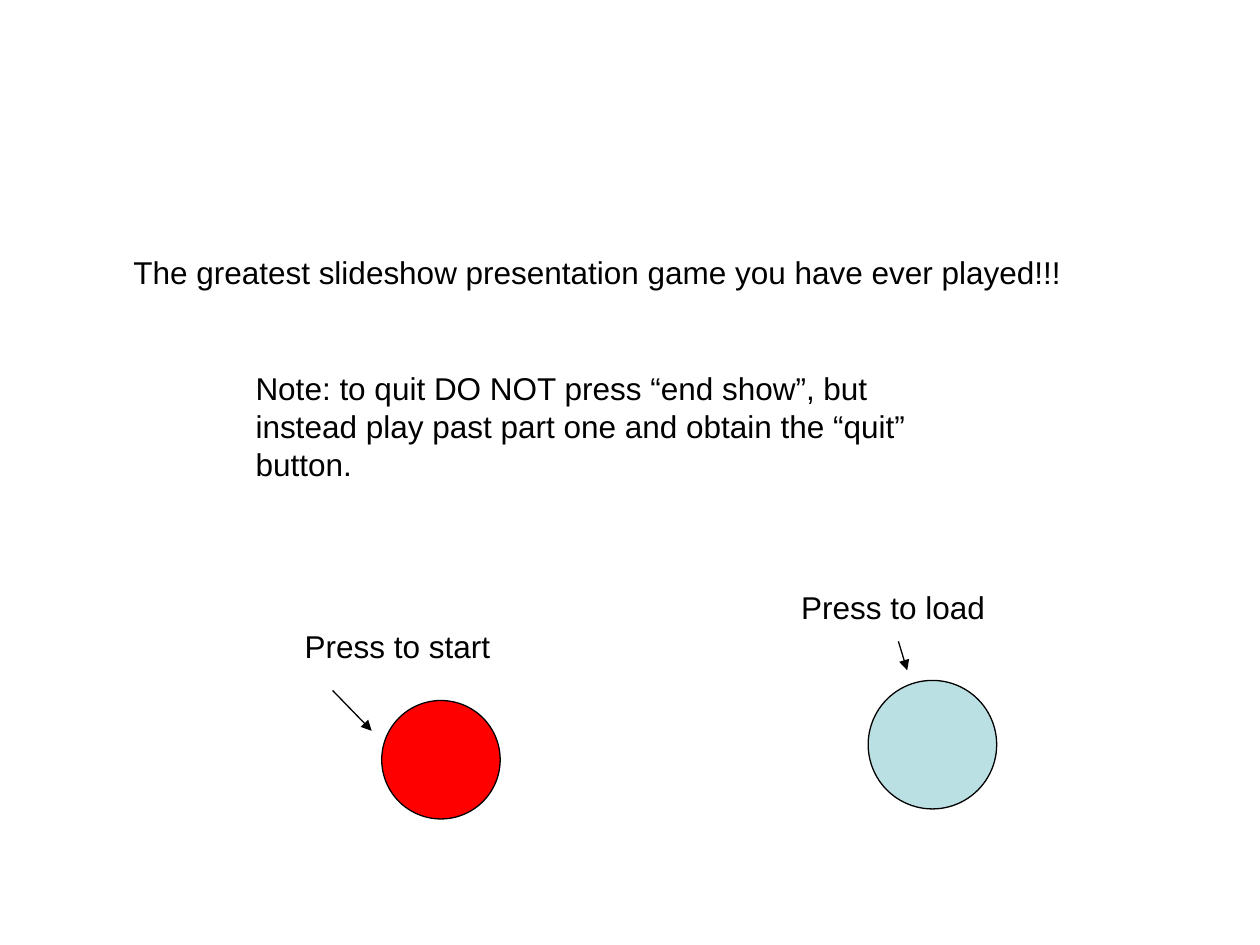
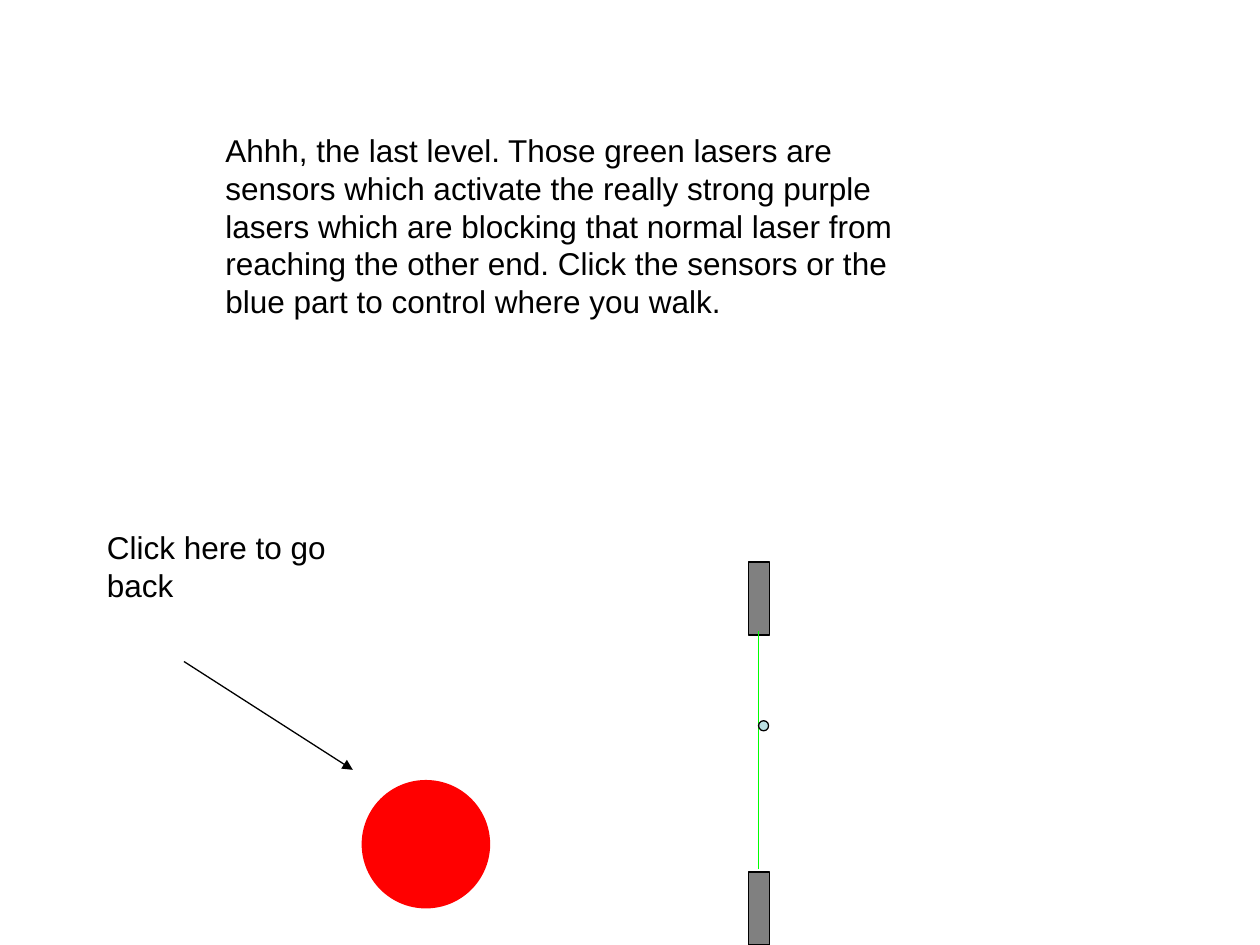
from lxml import etree
from pptx import Presentation
from pptx import util as u
from pptx.dml.color import RGBColor
from pptx.enum import shapes, text
from pptx.oxml.ns import qn

WIDTH, HEIGHT = 10, 7.5
FONT, TEXT_SIZE, LINE_WIDTH = "Arial", 18, 0.75
COLORS = {
    "ink": "000000", "paper": "FFFFFF", "start": "FF0000",
    "load": "BBE0E3", "emitter": "808080", "laser": "00FF00",
}
OVAL = shapes.MSO_SHAPE.OVAL
RECTANGLE = shapes.MSO_SHAPE.RECTANGLE
BIG_BUTTON = 1.02
EMITTER_LEFT, EMITTER_WIDTH, EMITTER_HEIGHT = 5.94, 0.17, 0.58
LASER_X = 6.02

# Each part is its kind followed by the arguments of the function that draws it.
START_SCREEN = [
    ("shape", RECTANGLE, (0, 0, WIDTH, HEIGHT), "paper", None),
    ("label", "The greatest slideshow presentation game you have ever played!!!",
     (0.96, 1.96, 7.69, 0.4)),
    ("shape", OVAL, (3.03, 5.56, 0.94, 0.94), "start", "ink"),
    ("label", "Press to start", (2.32, 4.93, 2.05, 0.4)),
    ("line", (2.64, 5.48), (2.95, 5.8), "ink", True),
    ("label", "Note: to quit DO NOT press “end show”, but instead play past part one "
     "and obtain the “quit” button.", (1.93, 2.88, 5.67, 1)),
    ("shape", OVAL, (6.89, 5.4, BIG_BUTTON, BIG_BUTTON), "load", "ink"),
    ("label", "Press to load", (6.26, 4.62, 2.28, 0.4)),
    ("line", (7.13, 5.09), (7.2, 5.32), "ink", True),
]
LAST_LEVEL = [
    ("label", "Ahhh, the last level. Those green lasers are sensors which activate the "
     "really strong purple lasers which are blocking that normal laser from reaching "
     "the other end. Click the sensors or the blue part to control where you walk.",
     (1.69, 0.99, 5.83, 1.6)),
    *[("shape", RECTANGLE, (EMITTER_LEFT, top, EMITTER_WIDTH, EMITTER_HEIGHT),
       "emitter", "ink") for top in (HEIGHT - EMITTER_HEIGHT, 4.46)],
    ("line", (LASER_X, 6.9), (LASER_X, 5.01), "laser", False),
    ("shape", OVAL, (LASER_X, 5.72, 0.08, 0.08), "load", "ink"),
    ("label", "Click here to go back", (0.75, 4.14, 2.05, 0.7)),
    ("line", (1.46, 5.25), (2.8, 6.11), "ink", True),
    ("shape", OVAL, (2.87, 6.19, BIG_BUTTON, BIG_BUTTON), "start", None),
]
SLIDES = [("ink", START_SCREEN), ("paper", LAST_LEVEL)]


def color(name):
    return RGBColor.from_string(COLORS[name])


def inches(lengths):
    return [u.Inches(length) for length in lengths]


def set_line(line, name):
    line.color.rgb = color(name)
    line.width = u.Pt(LINE_WIDTH)


def add_label(page, words, place):
    frame = page.shapes.add_textbox(*inches(place)).text_frame
    frame.word_wrap = True
    frame.auto_size = text.MSO_AUTO_SIZE.SHAPE_TO_FIT_TEXT
    frame.text = words
    font = frame.paragraphs[0].runs[0].font
    font.name, font.size = FONT, u.Pt(TEXT_SIZE)
    font.color.rgb = color("ink")


def add_shape(page, preset, place, fill, outline):
    shape = page.shapes.add_shape(preset, *inches(place))
    shape.shadow.inherit = False
    shape.fill.solid()
    shape.fill.fore_color.rgb = color(fill)
    if outline:
        set_line(shape.line, outline)
    else:
        shape.line.fill.background()


def add_line(page, start, end, name, arrow):
    line = page.shapes.add_connector(
        shapes.MSO_CONNECTOR.STRAIGHT, *inches(start + end))
    set_line(line.line, name)
    properties = line._element.spPr
    if arrow:
        etree.SubElement(properties.find(qn("a:ln")), qn("a:tailEnd"), type="triangle")
    etree.SubElement(properties, qn("a:effectLst"))


DRAW = {"label": add_label, "shape": add_shape, "line": add_line}


def main():
    deck = Presentation()
    deck.slide_width, deck.slide_height = inches((WIDTH, HEIGHT))
    for background, parts in SLIDES:
        page = deck.slides.add_slide(deck.slide_layouts[6])
        page.background.fill.solid()
        page.background.fill.fore_color.rgb = color(background)
        for kind, *details in parts:
            DRAW[kind](page, *details)
    deck.save("out.pptx")


if __name__ == "__main__":
    main()
